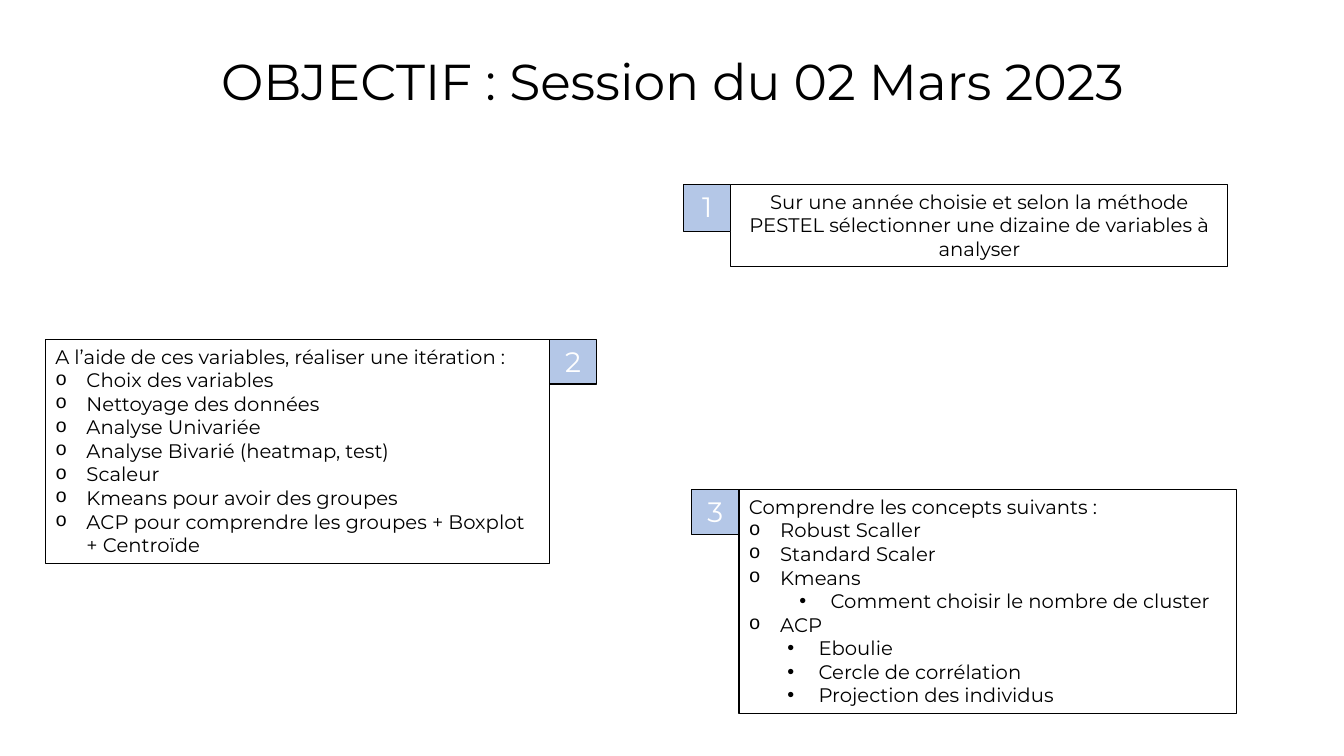
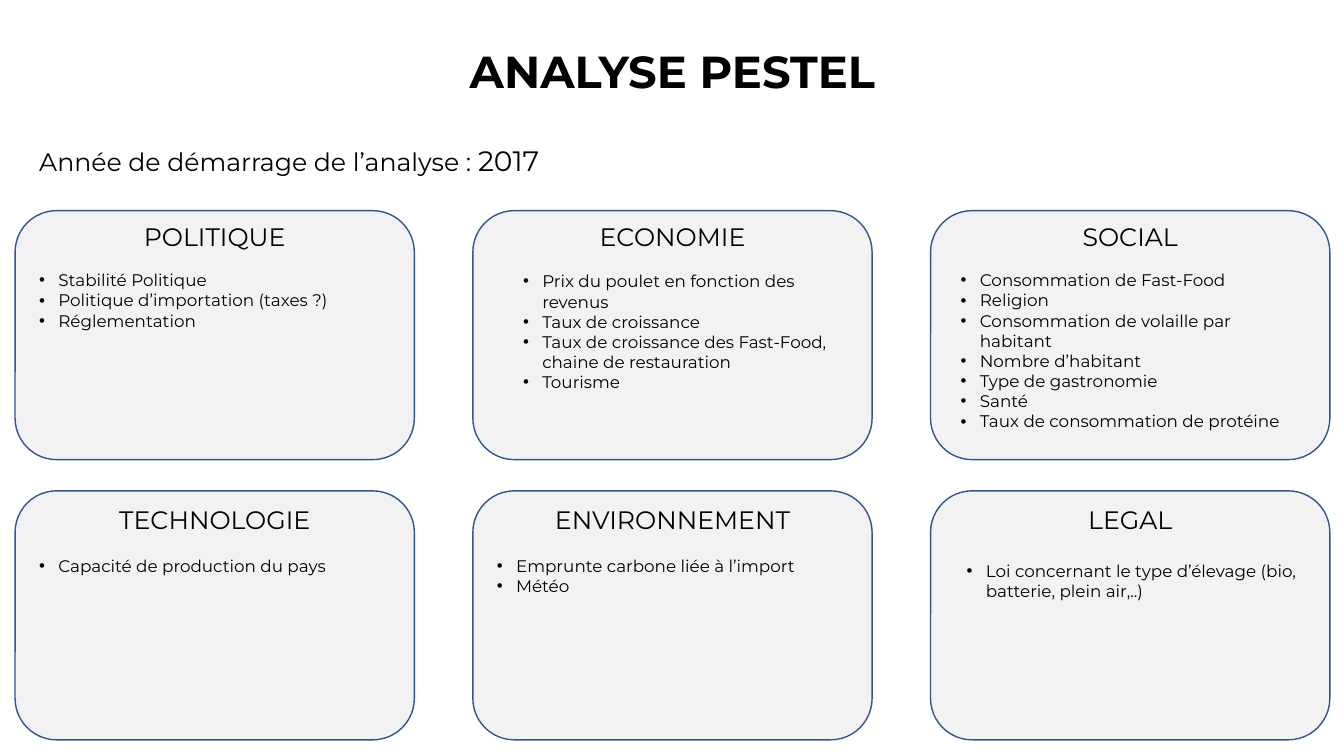
from lxml import etree
from pptx import Presentation
from pptx.dml.color import RGBColor
from pptx.enum import shapes, text
from pptx.oxml import ns
from pptx.util import Inches, Pt

FONT = "Montserrat"
COLORS = {"ink": "000000", "white": "FFFFFF", "badge": "B4C7E7",
          "card": "F2F2F2", "card_line": "325491"}
CENTER = text.PP_ALIGN.CENTER
LEFT = text.PP_ALIGN.LEFT

PLAIN = (None, 0, 0)
ROUND = ("o", 0, 0.31)
SUB = ("•", 1, 0.69)
DEEP_SUB = ("•", 1, 0.81)
SUB_HANG = 0.31
CARD_HANG = 0.19
CARD_ITEM = ("•", 0, CARD_HANG)

GOALS = [
    {"number": "1", "box": (7.25, 1.83, 4.93, 0.81), "badge": (6.78, 1.83, 0.47, 0.47),
     "align": CENTER,
     "lines": [("Sur une année choisie et selon la méthode PESTEL sélectionner "
                "une dizaine de variables à analyser", PLAIN)]},
    {"number": "2", "box": (0.45, 3.37, 5, 2.22), "badge": (5.45, 3.37, 0.47, 0.44),
     "align": LEFT,
     "lines": [("A l’aide de ces variables, réaliser une itération :", PLAIN),
               ("Choix des variables", ROUND),
               ("Nettoyage des données", ROUND),
               ("Analyse Univariée", ROUND),
               ("Analyse Bivarié (heatmap, test)", ROUND),
               ("Scaleur", ROUND),
               ("Kmeans pour avoir des groupes", ROUND),
               ("ACP pour comprendre les groupes + Boxplot + Centroïde", ROUND)]},
    {"number": "3", "box": (7.33, 4.86, 4.93, 2.22), "badge": (6.86, 4.86, 0.47, 0.44),
     "align": LEFT,
     "lines": [("Comprendre les concepts suivants :", PLAIN),
               ("Robust Scaller", ROUND),
               ("Standard Scaler", ROUND),
               ("Kmeans", ROUND),
               ("Comment choisir le nombre de cluster", DEEP_SUB),
               ("ACP", ROUND),
               ("Eboulie", SUB),
               ("Cercle de corrélation", SUB),
               ("Projection des individus", SUB)]},
]

PESTEL = [
    ("POLITIQUE", (0.14, 0.54, 3.7),
     ["Stabilité Politique", "Politique d’importation (taxes ?)", "Réglementation"]),
    ("ECONOMIE", (0.4, 0.55, 3.56),
     ["Prix du poulet en fonction des revenus", "Taux de croissance",
      "Taux de croissance des Fast-Food, chaine de restauration", "Tourisme"]),
    ("SOCIAL", (0.2, 0.54, 3.56),
     ["Consommation de Fast-Food", "Religion", "Consommation de volaille par habitant",
      "Nombre d’habitant", "Type de gastronomie", "Santé",
      "Taux de consommation de protéine"]),
    ("TECHNOLOGIE", (0.14, 0.59, 3.7), ["Capacité de production du pays"]),
    ("ENVIRONNEMENT", (0.14, 0.59, 3.7), ["Emprunte carbone liée à l’import", "Météo"]),
    ("LEGAL", (0.26, 0.64, 3.56),
     ["Loi concernant le type d’élevage (bio, batterie, plein air,..)"]),
]
CARD_W, CARD_H = 3.96, 2.47
CARD_LEFT, CARD_STEP = 0.15, 4.54
ROWS = [(2.09, 0.06), (4.87, 0.08)]


def rgb(name):
    return RGBColor.from_string(COLORS[name])


def style(r, size, color="ink", bold=False):
    r.font.name = FONT
    r.font.size = Pt(size)
    r.font.bold = bold
    r.font.color.rgb = rgb(color)


def set_bullet(p, char, level, indent, hang):
    p.level = level
    pPr = p._p.get_or_add_pPr()
    pPr.set("marL", str(Inches(indent)))
    pPr.set("indent", str(-Inches(hang)))
    face = "Courier New" if char == "o" else "Arial"
    etree.SubElement(pPr, ns.qn("a:buFont")).set("typeface", face)
    etree.SubElement(pPr, ns.qn("a:buChar")).set("char", char)


def write(sp, lines, size, align=LEFT, color="ink", bold=False,
          anchor=text.MSO_ANCHOR.TOP, hang=SUB_HANG):
    tf = sp.text_frame
    tf.word_wrap = True
    tf.vertical_anchor = anchor
    for i, (line, (char, level, indent)) in enumerate(lines):
        p = tf.add_paragraph() if i else tf.paragraphs[0]
        p.text = line
        p.alignment = align
        style(p.runs[0], size, color, bold)
        if char:
            set_bullet(p, char, level, indent, hang)
    return tf


def add_text(s, box, lines, size, **options):
    sp = s.shapes.add_textbox(*map(Inches, box))
    return write(sp, lines, size, **options)


def add_title(s, title, box, size, bold=False):
    return add_text(s, box, [(title, PLAIN)], size, align=CENTER, bold=bold,
                    anchor=text.MSO_ANCHOR.MIDDLE)


def add_box(parent, kind, box, fill, line, width):
    sp = parent.shapes.add_shape(kind, *map(Inches, box))
    sp.shadow.inherit = False
    if fill:
        sp.fill.solid()
        sp.fill.fore_color.rgb = rgb(fill)
    else:
        sp.fill.background()
    sp.line.color.rgb = rgb(line)
    sp.line.width = Pt(width)
    return sp


def build_goals(s):
    tf = add_title(s, "OBJECTIF : Session du 02 Mars 2023", (0.92, 0.11, 11.5, 1.45), 36)
    tf.paragraphs[0].line_spacing = 0.9
    rect = shapes.MSO_SHAPE.RECTANGLE
    for goal in GOALS:
        group = s.shapes.add_group_shape()
        sp = add_box(group, rect, goal["box"], None, "ink", 0.75)
        write(sp, goal["lines"], 14, align=goal["align"])
        badge = add_box(group, rect, goal["badge"], "badge", "ink", 0.75)
        write(badge, [(goal["number"], PLAIN)], 20, align=CENTER, color="white")


def build_pestel(s):
    add_title(s, "ANALYSE PESTEL", (4.04, 0.38, 5.26, 0.64), 32, bold=True)
    tf = add_text(s, (0.29, 1.37, 5.95, 0.44),
                  [("Année de démarrage de l’analyse : ", PLAIN)], 18)
    year = tf.paragraphs[0].add_run()
    year.text = "2017"
    style(year, 20)
    for i, (heading, (dx, dy, width), items) in enumerate(PESTEL):
        row, col = divmod(i, 3)
        left = CARD_LEFT + col * CARD_STEP
        top, heading_dy = ROWS[row]
        add_box(s, shapes.MSO_SHAPE.ROUNDED_RECTANGLE, (left, top, CARD_W, CARD_H),
                "card", "card_line", 1)
        add_text(s, (left, top + heading_dy, CARD_W, 0.4), [(heading, PLAIN)], 18,
                 align=CENTER)
        add_text(s, (left + dx, top + dy, width, CARD_H - dy - 0.1),
                 [(item, CARD_ITEM) for item in items], 12, hang=CARD_HANG)


def main():
    prs = Presentation()
    prs.slide_width, prs.slide_height = Inches(13.33), Inches(7.5)
    for build in (build_goals, build_pestel):
        build(prs.slides.add_slide(prs.slide_layouts[6]))
    prs.save("out.pptx")


if __name__ == "__main__":
    main()
